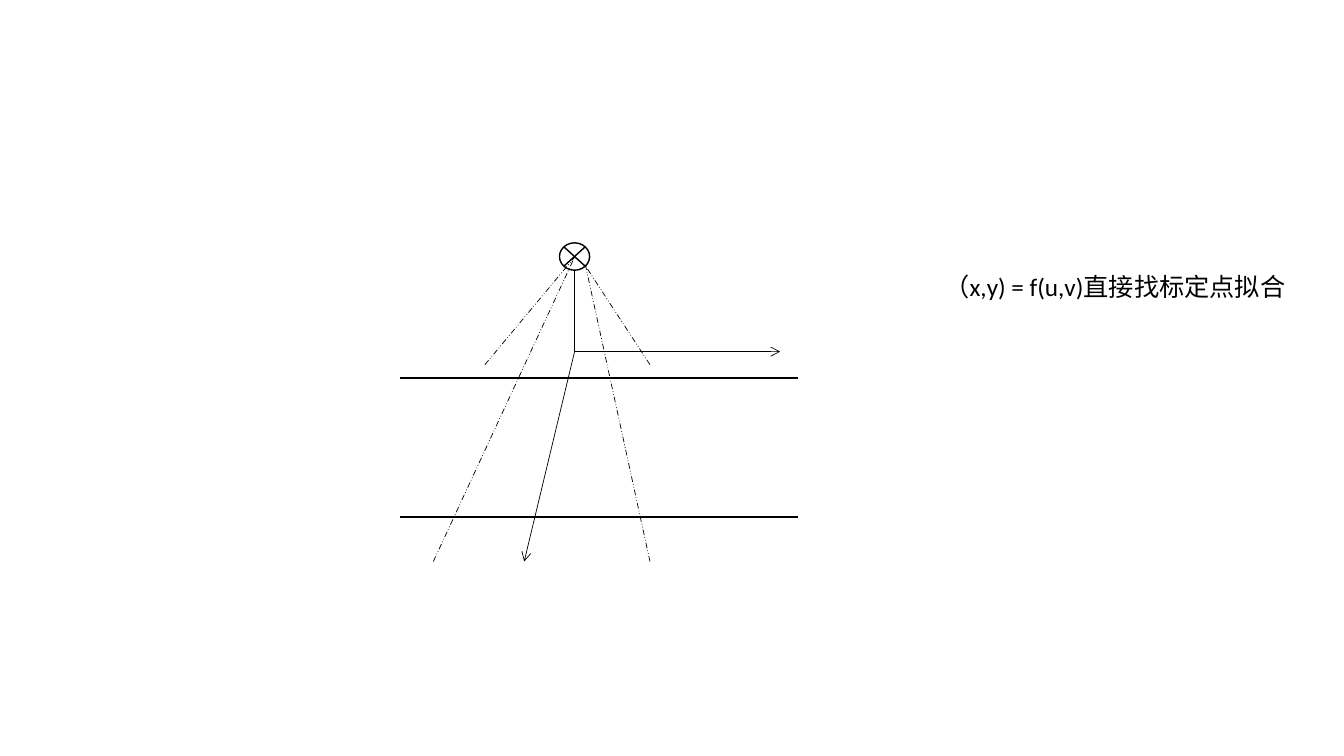
from dataclasses import dataclass

from lxml.etree import SubElement
from pptx import Presentation
from pptx.dml.color import RGBColor
from pptx.enum.dml import MSO_LINE
from pptx.enum.shapes import MSO_CONNECTOR, MSO_SHAPE
from pptx.enum.text import MSO_AUTO_SIZE
from pptx.oxml.ns import qn
from pptx.util import Cm, Pt


@dataclass(frozen=True)
class Theme:
    ink: RGBColor = RGBColor(0x00, 0x00, 0x00)
    paper: RGBColor = RGBColor(0xFF, 0xFF, 0xFF)
    font: str = "Calibri"
    text_size: float = 18
    thin: float = 0.5
    outline: float = 1
    thick: float = 1.5


class Sketch:
    """Draws on one slide in one style; lengths are in centimetres."""

    def __init__(self, slide, theme):
        self.slide = slide
        self.theme = theme

    def line(self, start, end, width, dash=None, arrow=False):
        connector = self.slide.shapes.add_connector(
            MSO_CONNECTOR.STRAIGHT, *map(Cm, (*start, *end)))
        connector.line.color.rgb = self.theme.ink
        connector.line.width = Pt(width)
        if dash:
            connector.line.dash_style = dash
        properties = connector._element.spPr
        if arrow:
            SubElement(properties.find(qn("a:ln")), qn("a:tailEnd"), type="arrow")
        SubElement(properties, qn("a:effectLst"))

    def shape(self, kind, left, top, width, height):
        shape = self.slide.shapes.add_shape(kind, *map(Cm, (left, top, width, height)))
        shape.shadow.inherit = False
        shape.fill.solid()
        shape.fill.fore_color.rgb = self.theme.paper
        shape.line.color.rgb = self.theme.ink
        shape.line.width = Pt(self.theme.outline)

    def text(self, wording, left, top, width, height):
        box = self.slide.shapes.add_textbox(*map(Cm, (left, top, width, height)))
        box.text_frame.word_wrap = True
        box.text_frame.auto_size = MSO_AUTO_SIZE.SHAPE_TO_FIT_TEXT
        run = box.text_frame.paragraphs[0].add_run()
        run.text = wording
        run.font.name = self.theme.font
        run.font.size = Pt(self.theme.text_size)
        run.font.color.rgb = self.theme.ink


def main():
    presentation = Presentation()
    presentation.slide_width = Cm(33.87)
    presentation.slide_height = Cm(19.05)
    theme = Theme()
    sketch = Sketch(presentation.slides.add_slide(presentation.slide_layouts[6]), theme)

    # Two parallel edges
    for edge_y in (9.53, 13.03):
        sketch.line((10.08, edge_y), (20.12, edge_y), theme.thick)

    # Mast and ground axes
    origin = (14.48, 8.86)
    camera_center = (14.48, 6.48)
    sketch.line(origin, camera_center, theme.thin)
    for axis_end in ((19.66, 8.86), (13.21, 14.15)):
        sketch.line(origin, axis_end, theme.thin, arrow=True)

    # Camera
    sketch.shape(MSO_SHAPE.FLOWCHART_SUMMING_JUNCTION, 14.1, 6.12, 0.76, 0.69)

    # Field of view: a far and a near ray on each side
    far_y, near_y = 14.15, 9.19
    camera_right = (14.76, 6.71)
    for ray_end, ray_start in (
        ((10.92, far_y), camera_center),
        ((12.22, near_y), camera_center),
        ((16.38, far_y), camera_right),
        ((16.38, near_y), camera_right),
    ):
        sketch.line(ray_end, ray_start, theme.thin, dash=MSO_LINE.DASH_DOT_DOT)

    # Mapping formula
    sketch.text("（x,y) = f(u,v)直接找标定点拟合", 23.55, 6.71, 10.92, 1.02)

    presentation.save("out.pptx")


if __name__ == "__main__":
    main()
